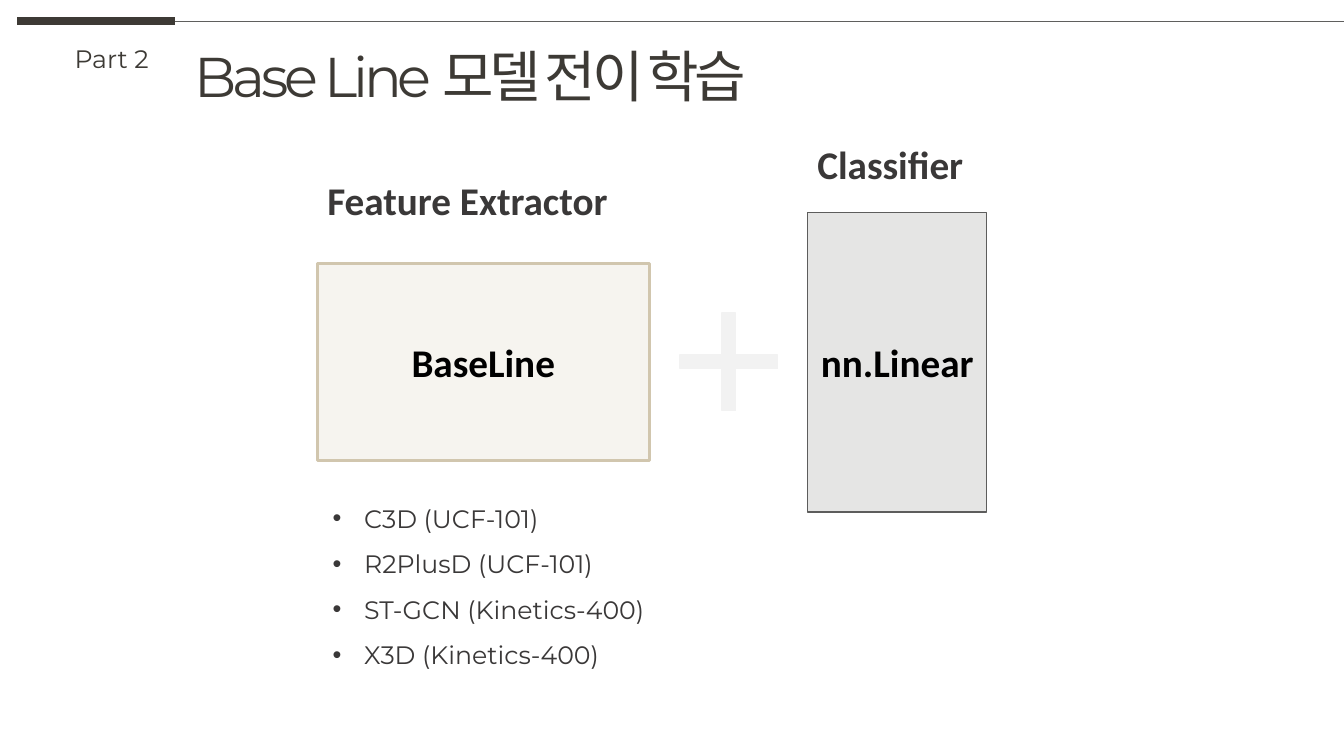
from pptx import Presentation
from pptx.dml.color import RGBColor
from pptx.enum.shapes import MSO_CONNECTOR as CON, MSO_SHAPE as SHAPE
from pptx.enum.text import MSO_ANCHOR as ANCHOR, MSO_AUTO_SIZE as FIT, PP_ALIGN as ALIGN
from pptx.oxml.ns import qn
from pptx.util import Cm, Pt
from lxml.etree import SubElement


def rgb(hex_code):
    """Turn a hex string into a colour."""
    return RGBColor.from_string(hex_code)


class Deck:
    """Holds the style and the current slide."""
    HEAD_FONT, LABEL_FONT = "Montserrat", "Calibri"
    DARK, GREY, BLACK = "3D3A35", "3A3838", "000000"

    def __init__(self, slide):
        """Keep the slide to draw on."""
        self.slide = slide

    def place(self, sp, x, y, w, h):
        """Move and size a shape, in centimetres."""
        sp.left, sp.top, sp.width, sp.height = Cm(x), Cm(y), Cm(w), Cm(h)

    def set_text(self, sp, lines, font, size, color, bold=False,
                 align=ALIGN.LEFT, anchor=ANCHOR.TOP):
        """Fill a shape with formatted paragraphs."""
        tf = sp.text_frame
        tf.text = "\n".join(lines)
        tf.word_wrap, tf.auto_size, tf.vertical_anchor = True, FIT.NONE, anchor
        for p in tf.paragraphs:
            p.alignment = align
            p.space_before = Pt(0)
            for r in p.runs:
                r.font.name, r.font.size, r.font.bold = font, Pt(size), bold
                r.font.color.rgb = rgb(color)

    def title(self, text, *box):
        """Use the title placeholder with tightened letters."""
        sp = self.slide.shapes.title
        self.place(sp, *box)
        self.set_text(sp, [text], self.HEAD_FONT, 40, self.DARK)
        for r in sp.text_frame.paragraphs[0].runs:
            r._r.get_or_add_rPr().set("spc", "-300")

    def bullets(self, items, *box):
        """Use the body placeholder for a bulleted list."""
        sp = self.slide.placeholders[1]
        self.place(sp, *box)
        self.set_text(sp, items, self.HEAD_FONT, 18, self.GREY)
        for p in sp.text_frame.paragraphs:
            p.line_spacing = 1.5
            pPr = p._p.get_or_add_pPr()
            pPr.set("marL", str(int(Cm(0.79))))
            pPr.set("indent", str(-int(Cm(0.79))))
            SubElement(pPr, qn("a:buFont"), typeface="Arial")
            SubElement(pPr, qn("a:buChar"), char="•")

    def text(self, text, x, y, w, h, font, size, color, bold=False):
        """Add a text box."""
        sp = self.slide.shapes.add_textbox(Cm(x), Cm(y), Cm(w), Cm(h))
        self.set_text(sp, [text], font, size, color, bold)

    def label(self, text, *box):
        """Add a bold heading above a block."""
        self.text(text, *box, self.LABEL_FONT, 28, self.GREY, True)

    def shape(self, kind, x, y, w, h, fill, line, width):
        """Add a flat preset shape and return it."""
        sp = self.slide.shapes.add_shape(kind, Cm(x), Cm(y), Cm(w), Cm(h))
        sp.shadow.inherit = False
        sp.fill.solid()
        sp.fill.fore_color.rgb = rgb(fill)
        sp.line.color.rgb = rgb(line)
        sp.line.width = Pt(width)
        return sp

    def block(self, text, *style):
        """Add a rectangle with a centred bold name."""
        sp = self.shape(SHAPE.RECTANGLE, *style)
        self.set_text(sp, [text], self.LABEL_FONT, 28, self.BLACK, True,
                      ALIGN.CENTER, ANCHOR.MIDDLE)

    def rule(self, x1, x2, y, color, width):
        """Add a horizontal line."""
        line = self.slide.shapes.add_connector(CON.STRAIGHT, Cm(x1), Cm(y), Cm(x2), Cm(y))
        line.line.color.rgb = rgb(color)
        line.line.width = Pt(width)
        SubElement(line._element.spPr, qn("a:effectLst"))


prs = Presentation()
prs.slide_width, prs.slide_height = Cm(33.87), Cm(19.05)
deck = Deck(prs.slides.add_slide(prs.slide_layouts[1]))

# Header
deck.rule(0.43, 4.42, 0.53, deck.DARK, 6)
deck.rule(4.42, 33.87, 0.53, "5F5F5D", 0.5)
deck.text("Part 2", 1.63, 0.97, 2.6, 1.02, deck.HEAD_FONT, 18, deck.DARK)
deck.title("Base Line 모델 전이 학습", 4.65, 0.91, 18, 1.96)

# Feature extractor
extractor_x = 8
deck.label("Feature Extractor", extractor_x, 4.32, 9.25, 1.45)
deck.block("BaseLine", extractor_x, 6.65, 8.36, 4.95, "F6F4EF", "D1C6AE", 2)
deck.bullets(["C3D (UCF-101)", "R2PlusD (UCF-101)", "ST-GCN (Kinetics-400)",
              "X3D (Kinetics-400)"], 8.13, 12.17, 9.04, 4.75)

# Plus sign
plus = deck.shape(SHAPE.MATH_PLUS, 16.69, 7.44, 3.35, 3.35, "F2F2F2", "F2F2F2", 1)
plus.adjustments[0] = 0.1

# Classifier
classifier_x = 20.35
deck.label("Classifier", classifier_x, 3.4, 5.44, 1.45)
deck.block("nn.Linear", classifier_x, 5.36, 4.52, 7.54, "E5E5E4", "5D5D5C", 1)

prs.save("out.pptx")
